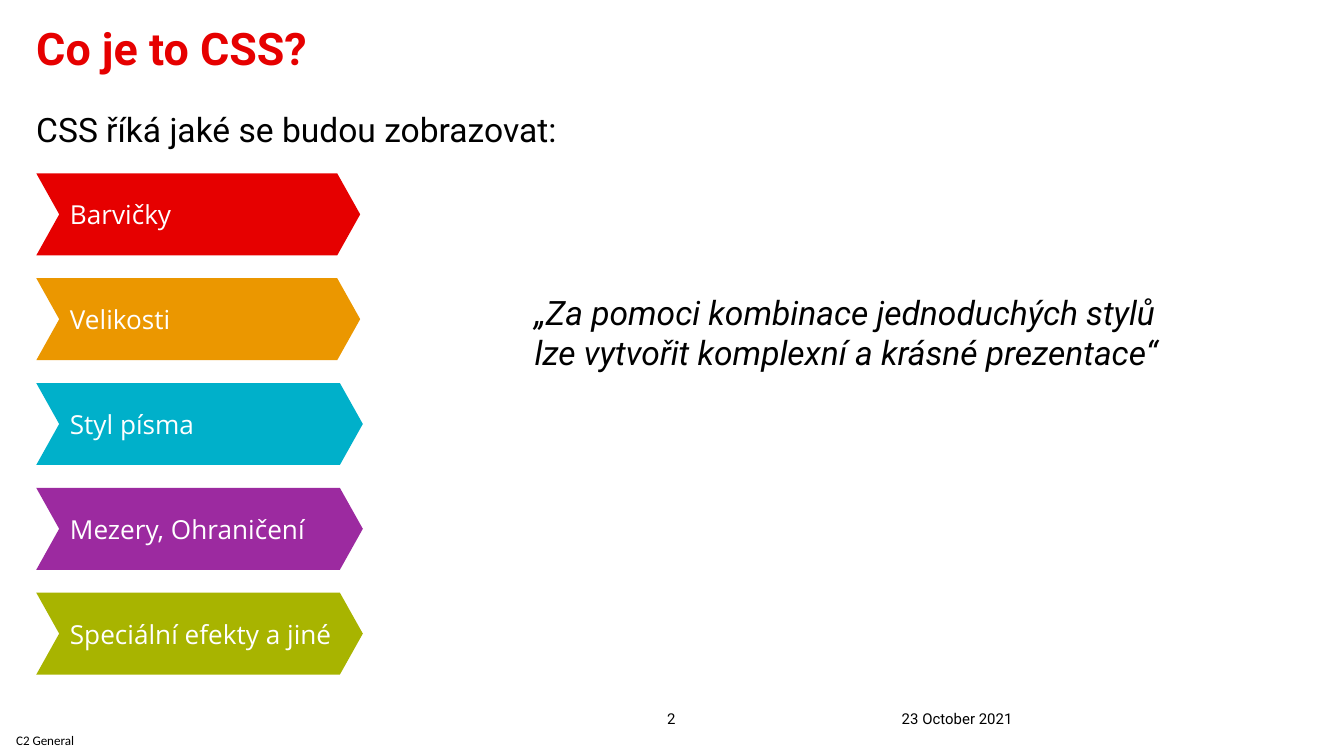
import pptx
import pptx.dml.color
import pptx.enum.shapes
import pptx.enum.text
import pptx.util
from pptx.util import Inches

COLORS = {
    "red": "E60000",
    "orange": "EB9700",
    "cyan": "00B0CA",
    "purple": "9C2AA0",
    "green": "A8B400",
    "black": "000000",
    "white": "FFFFFF",
}
ALIGN = pptx.enum.text.PP_ALIGN
ANCHOR = pptx.enum.text.MSO_ANCHOR


def rgb(name):
    return pptx.dml.color.RGBColor.from_string(COLORS[name])


def write_text(paragraph, text, size, font="Roboto", color="black", bold=False,
               italic=False, align=ALIGN.LEFT, before=0, line_spacing=1.0):
    paragraph.alignment = align
    paragraph.space_before = pptx.util.Pt(before)
    paragraph.line_spacing = line_spacing
    run = paragraph.add_run()
    run.text = text
    run.font.name = font
    run.font.size = pptx.util.Pt(size)
    run.font.bold = bold
    run.font.italic = italic
    run.font.color.rgb = rgb(color)


def set_frame(frame, anchor, left, top, right, bottom):
    frame.word_wrap = True
    frame.vertical_anchor = anchor
    frame.margin_left, frame.margin_top = Inches(left), Inches(top)
    frame.margin_right, frame.margin_bottom = Inches(right), Inches(bottom)


def add_text_box(slide, left, top, width, height, anchor=ANCHOR.TOP, insets=(0, 0, 0, 0)):
    shape = slide.shapes.add_textbox(Inches(left), Inches(top), Inches(width), Inches(height))
    set_frame(shape.text_frame, anchor, *insets)
    return shape.text_frame


def add_heading(slide):
    frame = add_text_box(slide, 0.27, 0.23, 9.44, 0.97)
    write_text(frame.paragraphs[0], "Co je to CSS?", 24, color="red", bold=True, line_spacing=0.8)
    write_text(frame.add_paragraph(), "CSS říká jaké se budou zobrazovat:", 18,
               before=23, line_spacing=0.8)


def add_chevron(slide, text, color, top, width):
    shape = slide.shapes.add_shape(
        pptx.enum.shapes.MSO_SHAPE.CHEVRON,
        Inches(0.27), Inches(top), Inches(width), Inches(0.61))
    shape.adjustments[0] = 0.28
    shape.shadow.inherit = False
    shape.fill.solid()
    shape.fill.fore_color.rgb = rgb(color)
    shape.line.fill.background()
    set_frame(shape.text_frame, ANCHOR.MIDDLE, 0.08, 0.04, 0.04, 0.04)
    write_text(shape.text_frame.paragraphs[0], text, 14, font="Open Sans", color="white")


def add_quote(slide):
    frame = add_text_box(slide, 3.88, 2.12, 5, 0.71, insets=(0.1, 0.05, 0.1, 0.05))
    write_text(frame.paragraphs[0],
               "„Za pomoci kombinace jednoduchých stylů lze vytvořit komplexní a krásné prezentace“",
               18, italic=True)


def add_footer(slide):
    label = add_text_box(slide, 0, 5.39, 0.68, 0.23, ANCHOR.MIDDLE, (0.12, 0, 0, 0))
    write_text(label.paragraphs[0], "C2 General", 7, font="Calibri")
    number = add_text_box(slide, 4.77, 5.15, 0.45, 0.26, ANCHOR.BOTTOM)
    write_text(number.paragraphs[0], "2", 8, align=ALIGN.CENTER)
    date = add_text_box(slide, 6.71, 5.15, 2.33, 0.26, ANCHOR.BOTTOM)
    write_text(date.paragraphs[0], "23 October 2021", 8)


def main():
    presentation = pptx.Presentation()
    presentation.slide_width = Inches(10)
    presentation.slide_height = Inches(10 * 9 / 16)
    slide = presentation.slides.add_slide(presentation.slide_layouts[6])
    add_heading(slide)
    topics = [
        ("Barvičky", "red", 2.41),
        ("Velikosti", "orange", 2.41),
        ("Styl písma", "cyan", 2.43),
        ("Mezery, Ohraničení", "purple", 2.43),
        ("Speciální efekty a jiné", "green", 2.43),
    ]
    for index, (text, color, width) in enumerate(topics):
        add_chevron(slide, text, color, 1.29 + 0.78 * index, width)
    add_quote(slide)
    add_footer(slide)
    presentation.save("out.pptx")


if __name__ == "__main__":
    main()
